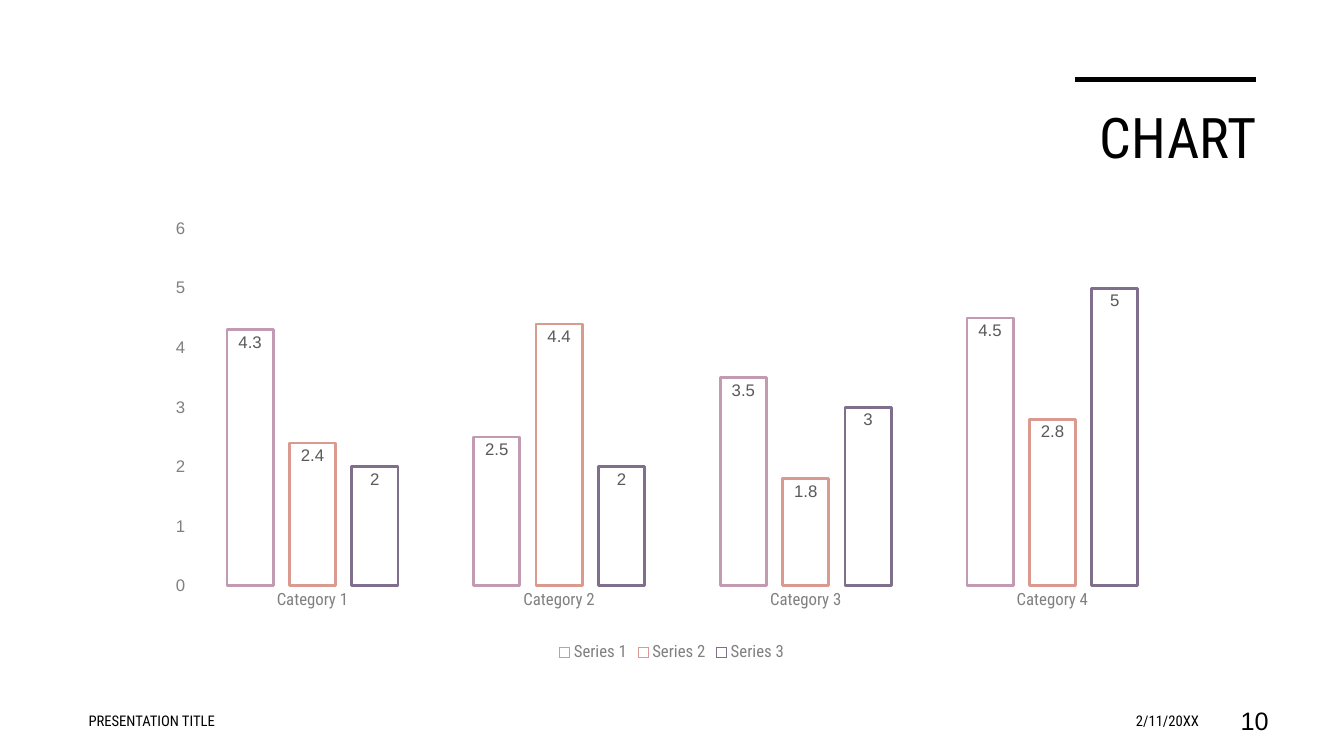
import pptx
import pptx.chart.data
import pptx.dml.color
import pptx.enum.chart
import pptx.enum.shapes
import pptx.enum.text
import pptx.oxml.ns
import pptx.oxml.xmlchemy
import pptx.util

WIDTH, HEIGHT = 13.33, 7.5
CONDENSED, PLAIN = "Roboto Condensed", "Arial"
COLORS = {
    "ink": "000000",
    "axis": "808080",
    "label": "595959",
    "Series 1": "C29AB1",
    "Series 2": "DB9A8F",
    "Series 3": "7F6E8C",
}
CATEGORIES = [f"Category {number}" for number in range(1, 5)]
SERIES = {
    "Series 1": (4.3, 2.5, 3.5, 4.5),
    "Series 2": (2.4, 4.4, 1.8, 2.8),
    "Series 3": (2, 2, 3, 5),
}
PLOT_AREA = {"x": 0.04, "y": 0.02, "w": 0.94, "h": 0.8}
FOOTER_TOP, FOOTER_HEIGHT = 6.95, 0.4
RIGHT = pptx.enum.text.PP_ALIGN.RIGHT
LEFT = pptx.enum.text.PP_ALIGN.LEFT


def inches(*lengths):
    return [pptx.util.Inches(length) for length in lengths]


def color(name):
    return pptx.dml.color.RGBColor.from_string(COLORS[name])


def new_element(tag):
    return pptx.oxml.xmlchemy.OxmlElement(tag)


def set_font(font, size, face, color_name):
    font.size = pptx.util.Pt(size)
    font.name = face
    font.bold = False
    font.color.rgb = color(color_name)


def add_title(slide, text, box):
    title = slide.shapes.title
    title.left, title.top, title.width, title.height = inches(*box)
    title.text_frame.text = text
    title.text_frame.vertical_anchor = pptx.enum.text.MSO_ANCHOR.TOP
    paragraph = title.text_frame.paragraphs[0]
    paragraph.alignment = RIGHT
    set_font(paragraph.font, 40, CONDENSED, "ink")
    # Letter spacing in hundredths of a point
    paragraph.runs[0].font._element.set("spc", "30")


def add_rule(slide, start, end):
    rule = slide.shapes.add_connector(
        pptx.enum.shapes.MSO_CONNECTOR.STRAIGHT, *inches(*start, *end))
    rule.line.color.rgb = color("ink")
    rule.line.width = pptx.util.Pt(3.5)
    rule._element.spPr.append(new_element("a:effectLst"))


def add_footer(slide, text, left, width, alignment, size=10.5, face=CONDENSED):
    box = slide.shapes.add_textbox(*inches(left, FOOTER_TOP, width, FOOTER_HEIGHT))
    frame = box.text_frame
    frame.word_wrap = True
    frame.vertical_anchor = pptx.enum.text.MSO_ANCHOR.MIDDLE
    frame.text = text
    paragraph = frame.paragraphs[0]
    paragraph.alignment = alignment
    set_font(paragraph.font, size, face, "ink")


def place_plot_area(chart, area):
    plot_area = chart._chartSpace.chart.plotArea
    for old_layout in plot_area.findall(pptx.oxml.ns.qn("c:layout")):
        plot_area.remove(old_layout)
    layout = new_element("c:layout")
    manual = new_element("c:manualLayout")
    settings = {"layoutTarget": "inner", "xMode": "edge", "yMode": "edge", **area}
    for tag, value in settings.items():
        element = new_element(f"c:{tag}")
        element.set("val", str(value))
        manual.append(element)
    layout.append(manual)
    plot_area.insert(0, layout)


def format_axis(axis, face):
    axis.has_major_gridlines = False
    axis.major_tick_mark = pptx.enum.chart.XL_TICK_MARK.NONE
    axis.minor_tick_mark = pptx.enum.chart.XL_TICK_MARK.NONE
    axis.format.line.fill.background()
    set_font(axis.tick_labels.font, 12, face, "axis")


def format_series(series):
    series.format.fill.background()
    series.format.line.color.rgb = color(series.name)
    series.format.line.width = pptx.util.Pt(2)
    labels = series.data_labels
    labels.show_value = True
    labels.position = pptx.enum.chart.XL_LABEL_POSITION.INSIDE_END
    set_font(labels.font, 12, PLAIN, "label")


def add_column_chart(slide, box):
    data = pptx.chart.data.CategoryChartData()
    data.categories = CATEGORIES
    for name, values in SERIES.items():
        data.add_series(name, values)
    chart = slide.shapes.add_chart(
        pptx.enum.chart.XL_CHART_TYPE.COLUMN_CLUSTERED, *inches(*box), data).chart
    chart.has_title = False
    set_font(chart.font, 10, PLAIN, "ink")
    place_plot_area(chart, PLOT_AREA)

    # Columns
    plot = chart.plots[0]
    plot.vary_by_categories = False
    plot.gap_width = 164
    plot.overlap = -35
    for series in plot.series:
        format_series(series)

    # Axes
    format_axis(chart.category_axis, CONDENSED)
    format_axis(chart.value_axis, PLAIN)
    chart.value_axis.minimum_scale = 0
    chart.value_axis.maximum_scale = 6
    chart.value_axis.major_unit = 1

    # Legend
    chart.has_legend = True
    chart.legend.position = pptx.enum.chart.XL_LEGEND_POSITION.BOTTOM
    chart.legend.include_in_layout = False
    set_font(chart.legend.font, 12, CONDENSED, "axis")


def main():
    presentation = pptx.Presentation()
    presentation.slide_width, presentation.slide_height = inches(WIDTH, HEIGHT)
    slide = presentation.slides.add_slide(presentation.slide_layouts[5])

    # Heading
    add_rule(slide, (10.66, 0.79), (12.46, 0.79))
    add_title(slide, "CHART", (0.76, 0.97, 11.81, 1.15))

    # Chart
    add_column_chart(slide, (1.46, 2.18, 10.41, 4.43))

    # Footer
    add_footer(slide, "PRESENTATION TITLE", 0.78, 4.96, LEFT)
    add_footer(slide, "2/11/20XX", 9.15, 2.84, RIGHT)
    add_footer(slide, "10", 11.94, 0.74, RIGHT, size=18, face=PLAIN)

    presentation.save("out.pptx")


if __name__ == "__main__":
    main()
